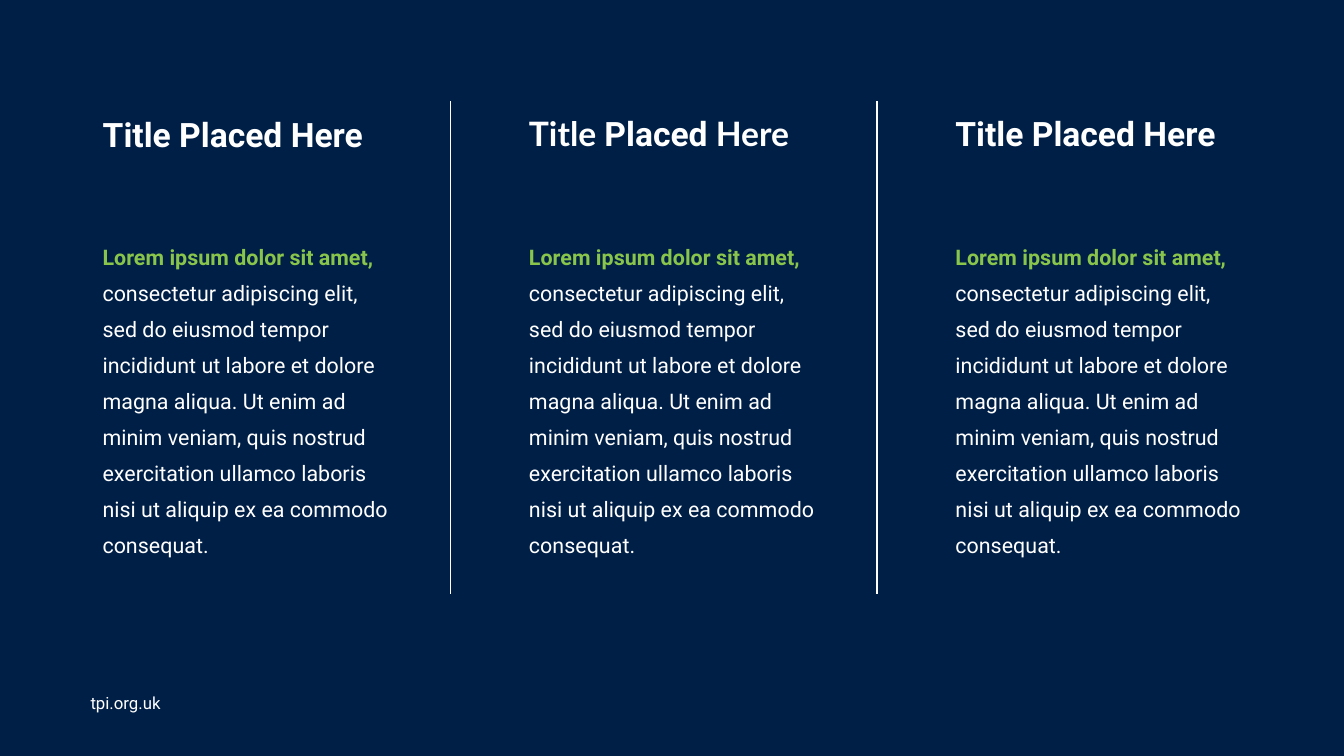
import pptx
import pptx.dml.color
import pptx.enum.shapes
import pptx.enum.text
import pptx.oxml
import pptx.util

Pt = pptx.util.Pt

# Content
LEAD = "Lorem ipsum dolor sit amet, "
BODY = ("consectetur adipiscing elit, sed do eiusmod tempor incididunt ut labore "
        "et dolore magna aliqua. Ut enim ad minim veniam, quis nostrud exercitation "
        "ullamco laboris nisi ut aliquip ex ea commodo consequat.")
TITLES = [
    [("Title Placed Here", "Roboto")],
    [("Title ", "Lato"), ("Placed", "Roboto"), (" Here", "Lato")],
    [("Title Placed Here", "Roboto")],
]
FOOTER = "tpi.org.uk"
NAVY, WHITE, GREEN = "001F47", "FFFFFF", "89C54B"

# Column layout in points
FIRST_LEFT, COLUMN_STEP, COLUMN_WIDTH = 66.2, 304.6, 219
TITLE_TOPS = [64.8, 64.1, 64.1]
TITLE_HEIGHT = 65.5
BODY_TOP, BODY_HEIGHT = 163.4, 285.8
DIVIDER_OFFSET, DIVIDER_TOP, DIVIDER_BOTTOM = 255.6, 72, 424


def colour(value):
    return pptx.dml.color.RGBColor.from_string(value)


def place(box, left, top, width, height):
    box.left, box.top, box.width, box.height = map(Pt, (left, top, width, height))


def write(box, spans, size, spacing=1.0, anchor="TOP"):
    """Fill a box with one paragraph of (text, font, colour, bold) spans."""
    frame = box.text_frame
    frame.word_wrap = True
    frame.auto_size = pptx.enum.text.MSO_AUTO_SIZE.NONE
    frame.vertical_anchor = getattr(pptx.enum.text.MSO_ANCHOR, anchor)
    para = frame.paragraphs[0]
    para.alignment = pptx.enum.text.PP_ALIGN.LEFT
    para.line_spacing = spacing
    para.space_before = Pt(0)
    for text, font, tint, bold in spans:
        span = para.add_run()
        span.text = text
        span.font.name = font
        span.font.size = Pt(size)
        span.font.bold = bold
        span.font.color.rgb = colour(tint)


def add_box(page, left, top, width, height):
    return page.shapes.add_textbox(*map(Pt, (left, top, width, height)))


def add_divider(page, x):
    line = page.shapes.add_connector(
        pptx.enum.shapes.MSO_CONNECTOR.STRAIGHT,
        Pt(x), Pt(DIVIDER_TOP), Pt(x), Pt(DIVIDER_BOTTOM))
    line.line.color.rgb = colour(WHITE)
    line.line.width = Pt(1)
    properties = line._element.spPr
    properties.append(properties.makeelement(pptx.oxml.ns.qn("a:effectLst"), {}))


def main():
    deck = pptx.Presentation()
    deck.slide_width, deck.slide_height = Pt(960), Pt(540)
    page = deck.slides.add_slide(deck.slide_layouts[5])
    page.background.fill.solid()
    page.background.fill.fore_color.rgb = colour(NAVY)

    # Footer
    write(add_box(page, 57.6, 491, 86.4, 21.6),
          [(FOOTER, "Roboto", WHITE, False)], 12)

    # Three columns, with a divider after each but the last
    for index, (title, title_top) in enumerate(zip(TITLES, TITLE_TOPS)):
        left = FIRST_LEFT + index * COLUMN_STEP
        area = (left, title_top, COLUMN_WIDTH, TITLE_HEIGHT)
        if index == 0:
            heading = page.shapes.title
            place(heading, *area)
        else:
            heading = add_box(page, *area)
        write(heading, [(text, font, WHITE, True) for text, font in title],
              24, 0.9, "MIDDLE")
        write(add_box(page, left, BODY_TOP, COLUMN_WIDTH, BODY_HEIGHT),
              [(LEAD, "Roboto", GREEN, True), (BODY, "Roboto", WHITE, False)],
              15.3, 1.4)
        if index < len(TITLES) - 1:
            add_divider(page, left + DIVIDER_OFFSET)

    deck.save("out.pptx")


if __name__ == "__main__":
    main()
